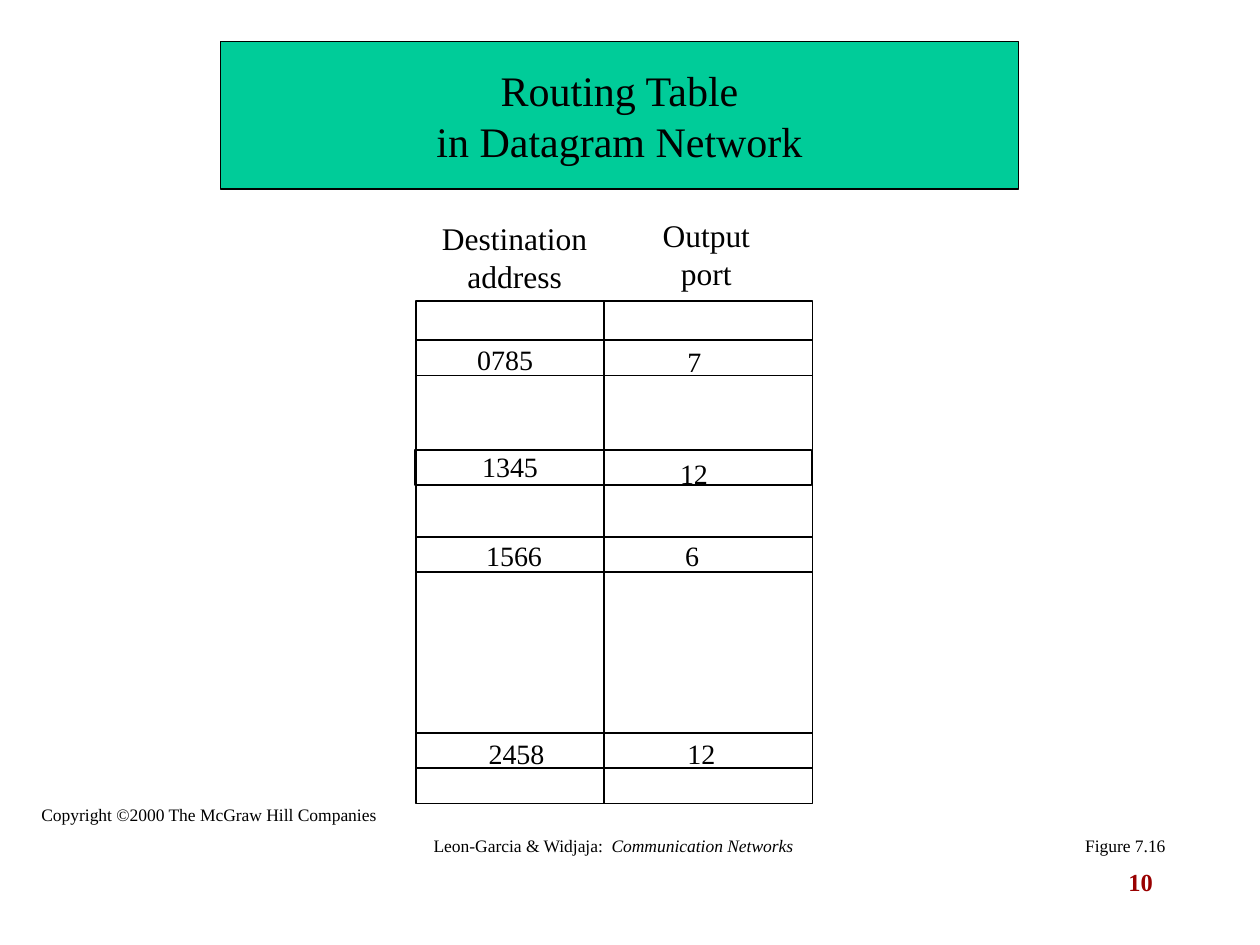
from pptx import Presentation
from pptx.dml.color import RGBColor
from pptx.enum.shapes import MSO_CONNECTOR, MSO_SHAPE
from pptx.enum.text import MSO_ANCHOR, MSO_AUTO_SIZE, PP_ALIGN
from pptx.oxml.ns import qn
from pptx.util import Cm, Pt
from lxml.etree import SubElement

BLACK = RGBColor(0x00, 0x00, 0x00)
GREEN = RGBColor(0x00, 0xCC, 0x99)
DARK_RED = RGBColor(0x99, 0x00, 0x00)
FONT = "Times New Roman"

# Content; lengths in cm
TITLE = "Routing Table\nin Datagram Network"
HEADERS = [  # text, left, top, width
    ("Destination\naddress", 8.61, 4.29, 3.53),
    ("Output\nport", 13.04, 4.24, 2.4),
]
ROUTES = [  # row left, row top, then (text, left, top) of address and port
    (8.38, 6.86, ("0785", 9.37, 6.78), ("7", 13.61, 6.83)),
    (8.36, 9.07, ("1345", 9.47, 8.94), ("12", 13.46, 9.07)),
    (8.38, 10.82, ("1566", 9.55, 10.74), ("6", 13.56, 10.74)),
    (8.38, 14.78, ("2458", 9.6, 14.73), ("12", 13.61, 14.73)),
]
FOOTERS = [  # runs, left, top, width; the second run is italic
    (["Copyright ©2000 The McGraw Hill Companies"], 0.58, 16.08, 7.26),
    (["Leon-Garcia & Widjaja:  ", "Communication Networks"], 8.48, 16.71, 7.77),
    (["Figure 7.16"], 21.62, 16.71, 2.13),
]
PAGE_NUMBER = "10"

TABLE_LEFT, TABLE_TOP, TABLE_W, TABLE_H = 8.38, 6.07, 8.0, 10.13
DIVIDER_X, ROW_H = 12.17, 0.71


def set_font(tf, size, align, color=BLACK, bold=False):
    for p in tf.paragraphs:
        p.alignment = align
        for r in p.runs:
            r.font.name, r.font.size, r.font.bold = FONT, Pt(size), bold
            r.font.color.rgb = color


def add_text(s, text, box, size, align=PP_ALIGN.CENTER, wrap=False, **style):
    tf = s.shapes.add_textbox(*map(Cm, box)).text_frame
    tf.word_wrap = wrap
    if not wrap:
        tf.auto_size = MSO_AUTO_SIZE.SHAPE_TO_FIT_TEXT
    tf.text = text
    set_font(tf, size, align, **style)
    return tf


def add_frame(s, *box):
    sp = s.shapes.add_shape(MSO_SHAPE.RECTANGLE, *map(Cm, box))
    sp.shadow.inherit = False
    sp.fill.background()
    sp.line.color.rgb, sp.line.width = BLACK, Pt(1)


prs = Presentation()
prs.slide_width, prs.slide_height = Cm(25.4), Cm(19.05)
s = prs.slides.add_slide(prs.slide_layouts[5])

# Title
title = s.shapes.title
title.left, title.top, title.width, title.height = map(Cm, (4.45, 0.84, 16.08, 2.97))
title.fill.solid()
title.fill.fore_color.rgb = GREEN
title.line.color.rgb, title.line.width = BLACK, Pt(0.75)
tf = title.text_frame
tf.text = TITLE
tf.auto_size = MSO_AUTO_SIZE.NONE
tf.vertical_anchor = MSO_ANCHOR.MIDDLE
set_font(tf, 24, PP_ALIGN.CENTER)

# Table outline, rows and column divider
add_frame(s, TABLE_LEFT, TABLE_TOP, TABLE_W, TABLE_H)
for left, top, *_ in ROUTES:
    add_frame(s, left, top, TABLE_W, ROW_H)
divider = s.shapes.add_connector(
    MSO_CONNECTOR.STRAIGHT, Cm(DIVIDER_X), Cm(TABLE_TOP),
    Cm(DIVIDER_X), Cm(TABLE_TOP + TABLE_H))
divider.line.color.rgb, divider.line.width = BLACK, Pt(1)
SubElement(divider._element.spPr, qn("a:effectLst"))

# Column headers and entries
for text, left, top, width in HEADERS:
    add_text(s, text, (left, top, width, 1.78), 18)
for _, _, *entries in ROUTES:
    for text, left, top in entries:
        width = 0.51 + 0.28 * len(text)
        add_text(s, text, (left, top, width, 0.91), 16, PP_ALIGN.LEFT)

# Footers and page number
for (first, *rest), left, top, width in FOOTERS:
    tf = add_text(s, first, (left, top, width, 0.69), 10)
    tf.vertical_anchor = MSO_ANCHOR.MIDDLE
    for text in rest:
        r = tf.paragraphs[0].add_run()
        r.text = text
        set_font(tf, 10, PP_ALIGN.CENTER)
        r.font.italic = True
add_text(s, PAGE_NUMBER, (18.21, 17.35, 5.28, 1.27), 14, PP_ALIGN.RIGHT,
         wrap=True, color=DARK_RED, bold=True)

prs.save("out.pptx")
